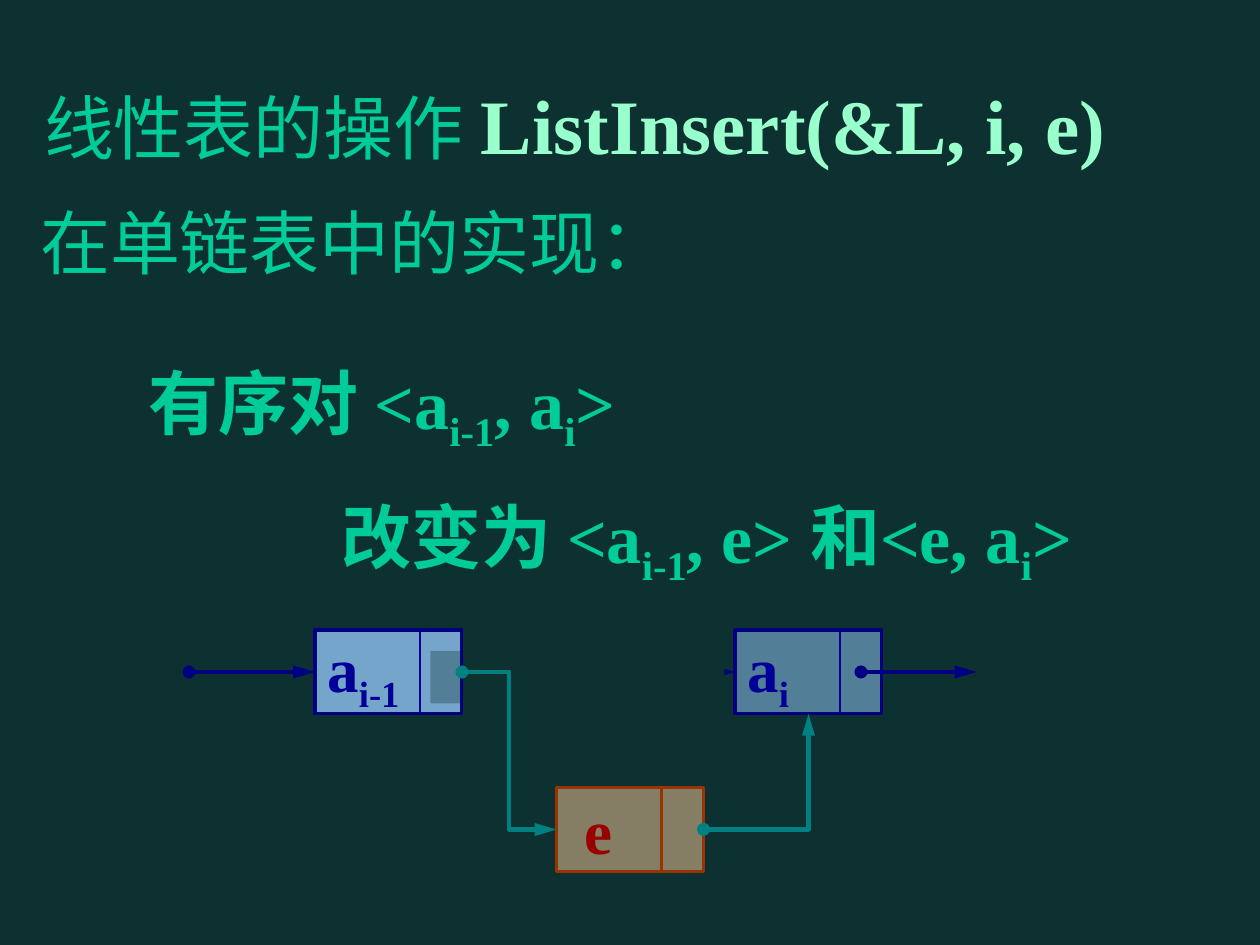
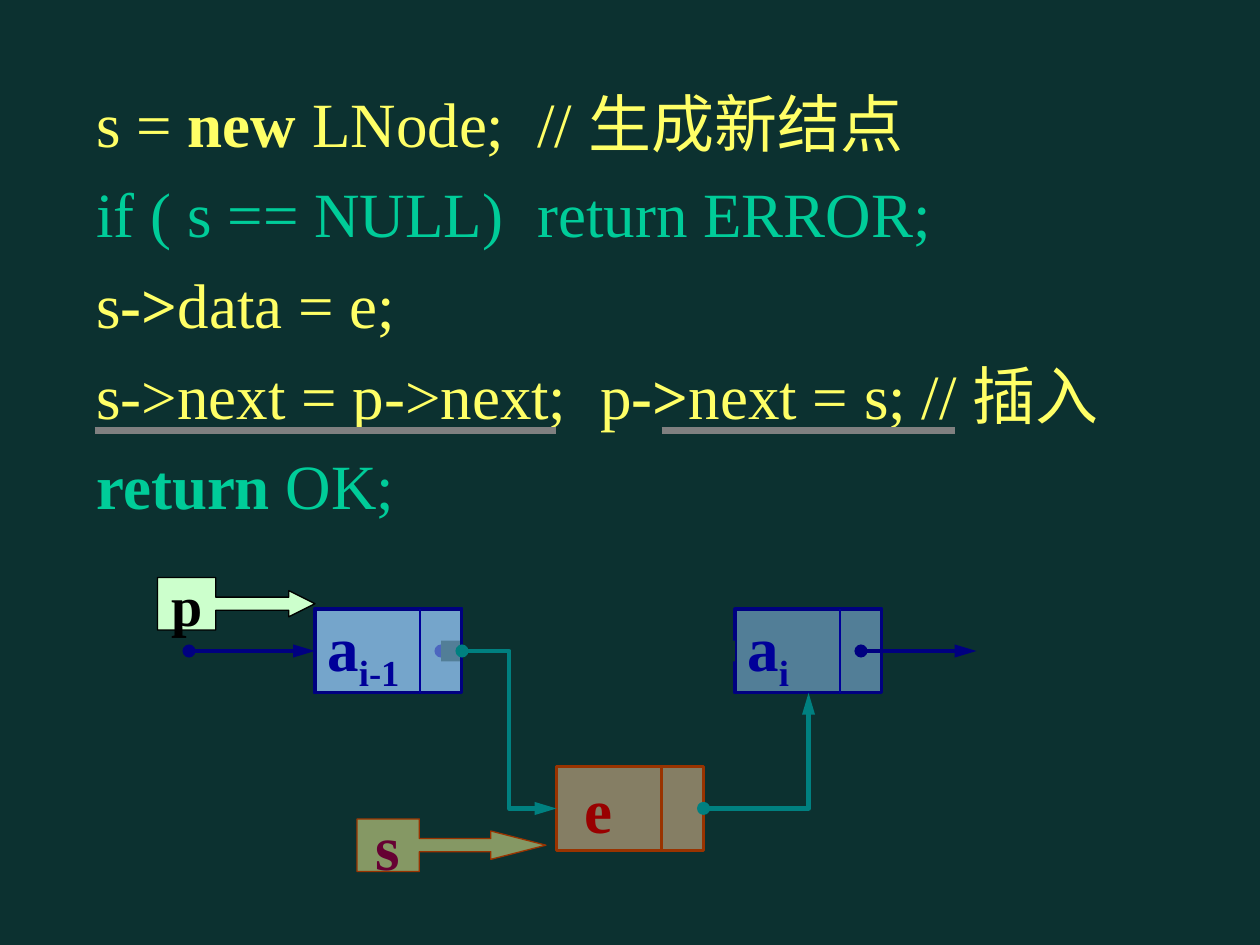
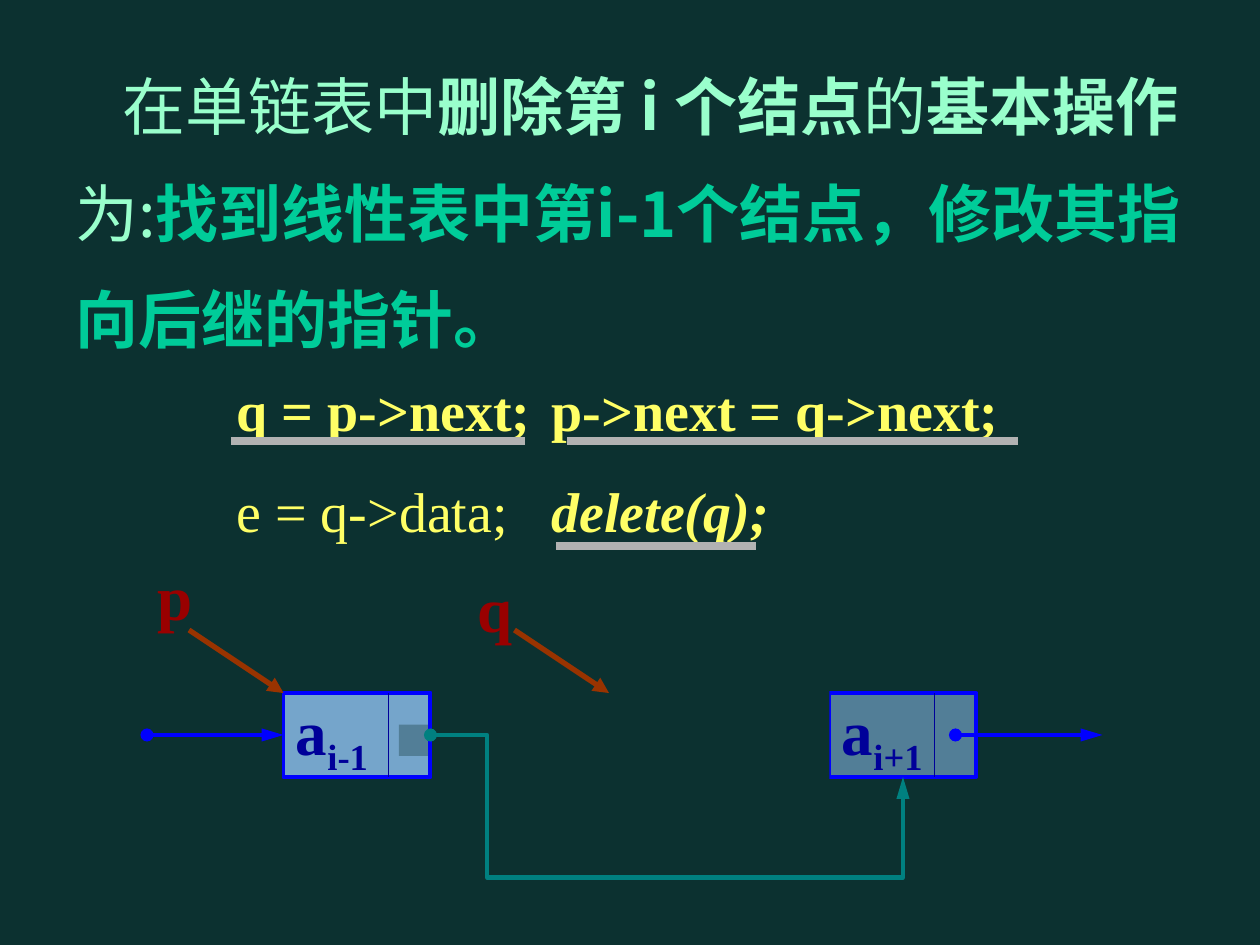
from dataclasses import dataclass

from lxml.etree import SubElement
from pptx import Presentation
from pptx.dml.color import RGBColor
from pptx.enum.shapes import MSO_CONNECTOR, MSO_SHAPE
from pptx.enum.text import MSO_ANCHOR, PP_ALIGN
from pptx.oxml.ns import qn
from pptx.util import Pt


@dataclass(frozen=True)
class Theme:
    background: str = "0C3130"
    green: str = "00CC99"
    mint: str = "99FFCC"
    yellow: str = "FFFF66"
    black: str = "000000"
    navy: str = "000080"
    blue: str = "0000FF"
    node_text: str = "000099"
    node_fill: str = "99CCFF"
    new_fill: str = "FFCC99"
    brown: str = "993300"
    red: str = "990000"
    teal: str = "008080"
    serif: str = "Times New Roman"
    sans: str = "Noto Sans CJK SC"
    title_size: int = 44
    heading_size: int = 40
    body_size: int = 36
    code_size: int = 32


THEME = Theme()
NODE_WIDTH, NODE_HEIGHT = 84, 48
DATA_WIDTH = 60


def points(*values):
    return [Pt(value) for value in values]


def set_font(font, name=None, size=None, color=None, bold=None, italic=None):
    if name:
        font.name = name
    if size:
        font.size = Pt(size)
    if color:
        font.color.rgb = RGBColor.from_string(color)
    if bold is not None:
        font.bold = bold
    if italic is not None:
        font.italic = italic


def write_paragraph(paragraph, runs, spacing=None, margin=0, indent=0, tabs=(), **font):
    """Write runs given as strings or (string, overrides) pairs."""
    if spacing:
        paragraph.line_spacing = spacing
    properties = paragraph._p.get_or_add_pPr()
    properties.set("marL", str(Pt(margin)))
    properties.set("indent", str(Pt(indent)))
    if tabs:
        tab_list = SubElement(properties, qn("a:tabLst"))
        for position in tabs:
            SubElement(tab_list, qn("a:tab"), pos=str(Pt(position)), algn="l")
    set_font(paragraph.font, **{"name": THEME.serif, **font})
    SubElement(properties.find(qn("a:defRPr")), qn("a:ea"), typeface=THEME.sans)
    for item in runs:
        text, overrides = (item, {}) if isinstance(item, str) else item
        run = paragraph.add_run()
        run.text = text
        overrides = dict(overrides)
        if overrides.pop("subscript", False):
            run._r.get_or_add_rPr().set("baseline", "-25000")
        set_font(run.font, **overrides)


def sub(text):
    return text, {"subscript": True}


def add_text(slide, box, paragraphs, **common):
    """Add a text box; each paragraph is (runs, options)."""
    frame = slide.shapes.add_textbox(*points(*box)).text_frame
    frame.word_wrap = True
    for index, (runs, options) in enumerate(paragraphs):
        paragraph = frame.add_paragraph() if index else frame.paragraphs[0]
        write_paragraph(paragraph, runs, **{**common, **options})


def add_block(slide, box, fill, line=None, width=1, translucent=False,
              kind=MSO_SHAPE.RECTANGLE):
    shape = slide.shapes.add_shape(kind, *points(*box))
    shape.shadow.inherit = False
    shape.fill.solid()
    shape.fill.fore_color.rgb = RGBColor.from_string(fill)
    if translucent:
        color = shape._element.spPr.find(qn("a:solidFill"))[0]
        SubElement(color, qn("a:alpha"), val="50000")
    if line:
        shape.line.color.rgb = RGBColor.from_string(line)
        shape.line.width = Pt(width)
    else:
        shape.line.fill.background()
    return shape


def label_block(shape, runs, align=PP_ALIGN.LEFT, **font):
    frame = shape.text_frame
    frame.word_wrap = False
    frame.vertical_anchor = MSO_ANCHOR.MIDDLE
    paragraph = frame.paragraphs[0]
    paragraph.alignment = align
    write_paragraph(paragraph, runs, **font)


def style_line(connector, color, width, head=None, tail=None, length="med"):
    connector.line.color.rgb = RGBColor.from_string(color)
    connector.line.width = Pt(width)
    line = connector.line._get_or_add_ln()
    if head:
        SubElement(line, qn("a:headEnd"), type=head)
    if tail:
        SubElement(line, qn("a:tailEnd"), type=tail, w="med", len=length)
    SubElement(connector._element.spPr, qn("a:effectLst"))


def add_line(slide, start, end, color, width, **ends):
    connector = slide.shapes.add_connector(
        MSO_CONNECTOR.STRAIGHT, *points(*start, *end))
    style_line(connector, color, width, **ends)
    return connector


def add_link(slide, start, end, color, target=None):
    """Add a pointer arrow, joined to the left side of its target node."""
    link = add_line(slide, start, end, color, 2.5,
                    head="oval", tail="triangle", length="lg")
    if target:
        link.end_connect(target, 1)


def add_bent_link(slide, source, target, side, preset, adjustments=()):
    connector = slide.shapes.add_connector(MSO_CONNECTOR.ELBOW, 0, 0, 0, 0)
    connector.begin_connect(source, 3)
    connector.end_connect(target, side)
    geometry = connector._element.spPr.find(qn("a:prstGeom"))
    geometry.set("prst", preset)
    guides = geometry.find(qn("a:avLst"))
    if guides is None:
        guides = SubElement(geometry, qn("a:avLst"))
    for number, value in enumerate(adjustments, 1):
        SubElement(guides, qn("a:gd"), name=f"adj{number}",
                   fmla=f"val {round(value * 100000)}")
    style_line(connector, THEME.teal, 2.5, "oval", "triangle", "lg")


def add_node(slide, left, top, index, color, width):
    node = add_node_base(slide, left, top, color, width)
    label_block(node, ["a", sub(index)], size=THEME.body_size,
                color=THEME.node_text, bold=True)
    divider = left + DATA_WIDTH
    add_line(slide, (divider, top), (divider, top + NODE_HEIGHT), THEME.node_text, 0.75)
    return node


def add_node_base(slide, left, top, color, width):
    return add_block(slide, (left, top, NODE_WIDTH, NODE_HEIGHT),
                     THEME.node_fill, color, width, translucent=True)


def add_new_node(slide, left, top):
    node = add_block(slide, (left, top, NODE_WIDTH, NODE_HEIGHT),
                     THEME.new_fill, THEME.brown, 2, translucent=True)
    label_block(node, ["e"], margin=9, size=THEME.body_size, color=THEME.red, bold=True)
    divider = left + DATA_WIDTH
    add_line(slide, (divider, top), (divider, top + NODE_HEIGHT), THEME.brown, 2)
    return node


def add_insertion_diagram(slide, top, erased):
    """Draw the list with e inserted; erased covers the old link."""
    middle = top + NODE_HEIGHT / 2
    new_node = add_new_node(slide, 318, top + 90)
    base = add_node_base(slide, 180, top, THEME.navy, 1.75)
    add_link(slide, (108, middle), (180, middle), THEME.navy, base)
    following = add_node(slide, 420, top, "i", THEME.navy, 1.75)
    add_link(slide, (252, middle), (420, middle), THEME.navy, following)
    add_link(slide, (492, middle), (558, middle), THEME.navy)
    add_block(slide, erased, THEME.background)
    previous = add_node(slide, 180, top, "i-1", THEME.navy, 1.75)
    add_bent_link(slide, previous, new_node, 1, "bentConnector3", [0.5])
    add_bent_link(slide, new_node, following, 2, "bentConnector2")


def add_callout(slide, box, adjustments, label, fill, line, color, size, translucent):
    callout = add_block(slide, box, fill, line, 0.75, translucent,
                        MSO_SHAPE.RIGHT_ARROW_CALLOUT)
    for index, value in enumerate(adjustments):
        callout.adjustments[index] = value
    label_block(callout, [label], PP_ALIGN.CENTER, size=size, color=color, bold=True)


def add_underlines(slide, color, spans):
    for left, right, top in spans:
        add_line(slide, (left, top), (right, top), color, 4.5)


def add_pointer(slide, label, box, start):
    add_line(slide, start, (start[0] + 54, start[1] + 36), THEME.brown, 3, tail="triangle")
    add_text(slide, box, [([label], {})], size=THEME.body_size, color=THEME.red, bold=True)


def new_slide(presentation):
    slide = presentation.slides.add_slide(presentation.slide_layouts[6])
    slide.background.fill.solid()
    slide.background.fill.fore_color.rgb = RGBColor.from_string(THEME.background)
    return slide


def build_insert_idea(presentation):
    slide = new_slide(presentation)
    heading = {"size": THEME.heading_size}
    add_text(slide, (6, 18, 678, 148), [
        ([(" ", {"size": 54}),
          ("线性表的操作", {"name": THEME.sans, **heading}),
          (" ", {"name": THEME.sans}),
          ("ListInsert(&L, i, e)", {"color": THEME.mint, "bold": True})], {}),
        ([" ", ("在单链表中的实现：", heading)], {}),
    ], spacing=1.2, size=THEME.title_size, color=THEME.green)
    add_text(slide, (68, 180, 590, 208), [
        (["有序对 <a", sub("i-1"), ", a", sub("i"), ">"], {"margin": 10}),
        (["改变为 <a", sub("i-1"), ", e> 和<e, a", sub("i"), ">"], {"margin": 120}),
    ], spacing=1.4, size=THEME.heading_size, color=THEME.green, bold=True)
    add_insertion_diagram(slide, 360, (246, 372, 168, 30))


def build_insert_code(presentation):
    slide = new_slide(presentation)
    bold = {"bold": True}
    green = {"color": THEME.green}
    add_text(slide, (48, 36, 636, 266), [
        (["s = ", ("new", bold), " LNode;\t// 生成新结点"], {"tabs": [286]}),
        (["if ( s == NULL)\treturn ERROR;"], {"tabs": [250], **green}),
        (["s", ("->", bold), "data = e;"], {}),
        (["s->next = p->next;\tp", ("->", bold), "next = s; // 插入"], {"tabs": [322]}),
        ([("return", bold), " OK;"], green),
    ], spacing=1.2, size=THEME.body_size, color=THEME.yellow)
    add_insertion_diagram(slide, 348, (252, 366, 168, 12))
    add_callout(slide, (204, 468, 108, 30), (0.25, 0.27, 1.05, 0.33), "s",
                "FFFF99", THEME.brown, "660033", THEME.body_size, True)
    add_callout(slide, (90, 330, 90, 30), (0.25, 0.25, 0.5, 0.37), "p",
                "CCFFCC", THEME.black, THEME.black, THEME.code_size, False)
    add_underlines(slide, "808080", [(54, 318, 246), (378, 546, 246)])


def build_delete(presentation):
    slide = new_slide(presentation)
    bold = {"bold": True}
    add_text(slide, (36, 12, 650, 196), [
        ([(" ", {"size": THEME.heading_size}), "在单链表中", ("删除第 i 个结点", bold),
          "的", ("基本操作", bold), "为:",
          ("找到线性表中第i-1个结点，修改其指向后继的指针。",
           {"color": THEME.green, "bold": True})], {"indent": 18}),
    ], spacing=1.4, name=THEME.sans, size=THEME.body_size, color=THEME.mint)

    top, middle = 396, 420
    base = add_node_base(slide, 162, top, THEME.blue, 2.25)
    add_link(slide, (84, middle), (162, middle), THEME.blue, base)
    following = add_node(slide, 474, top, "i+1", THEME.blue, 2.25)
    add_link(slide, (546, middle), (630, middle), THEME.blue)
    add_block(slide, (228, 414, 90, 18), THEME.background)
    previous = add_node(slide, 162, top, "i-1", THEME.blue, 2.25)
    add_bent_link(slide, previous, following, 2, "bentConnector4", [0.12, 3.39])
    add_block(slide, (312, 390, 162, 66), THEME.background)

    add_text(slide, (128, 192, 478, 122), [
        (["q = p->next;\tp->next = q->next;"], {"tabs": [191], **bold}),
        (["e = q->data;\t", ("delete(q);", {"bold": True, "italic": True})],
         {"tabs": [188]}),
    ], spacing=1.5, size=THEME.code_size, color=THEME.yellow)
    add_pointer(slide, "p", (83, 315, 36, 50), (108, 360))
    add_pointer(slide, "q", (266, 322, 36, 50), (294, 360))
    add_underlines(slide, "B2B2B2", [(132, 300, 252), (324, 582, 252), (318, 432, 312)])


def main():
    presentation = Presentation()
    presentation.slide_width, presentation.slide_height = points(720, 540)
    build_insert_idea(presentation)
    build_insert_code(presentation)
    build_delete(presentation)
    presentation.save("out.pptx")


if __name__ == "__main__":
    main()
